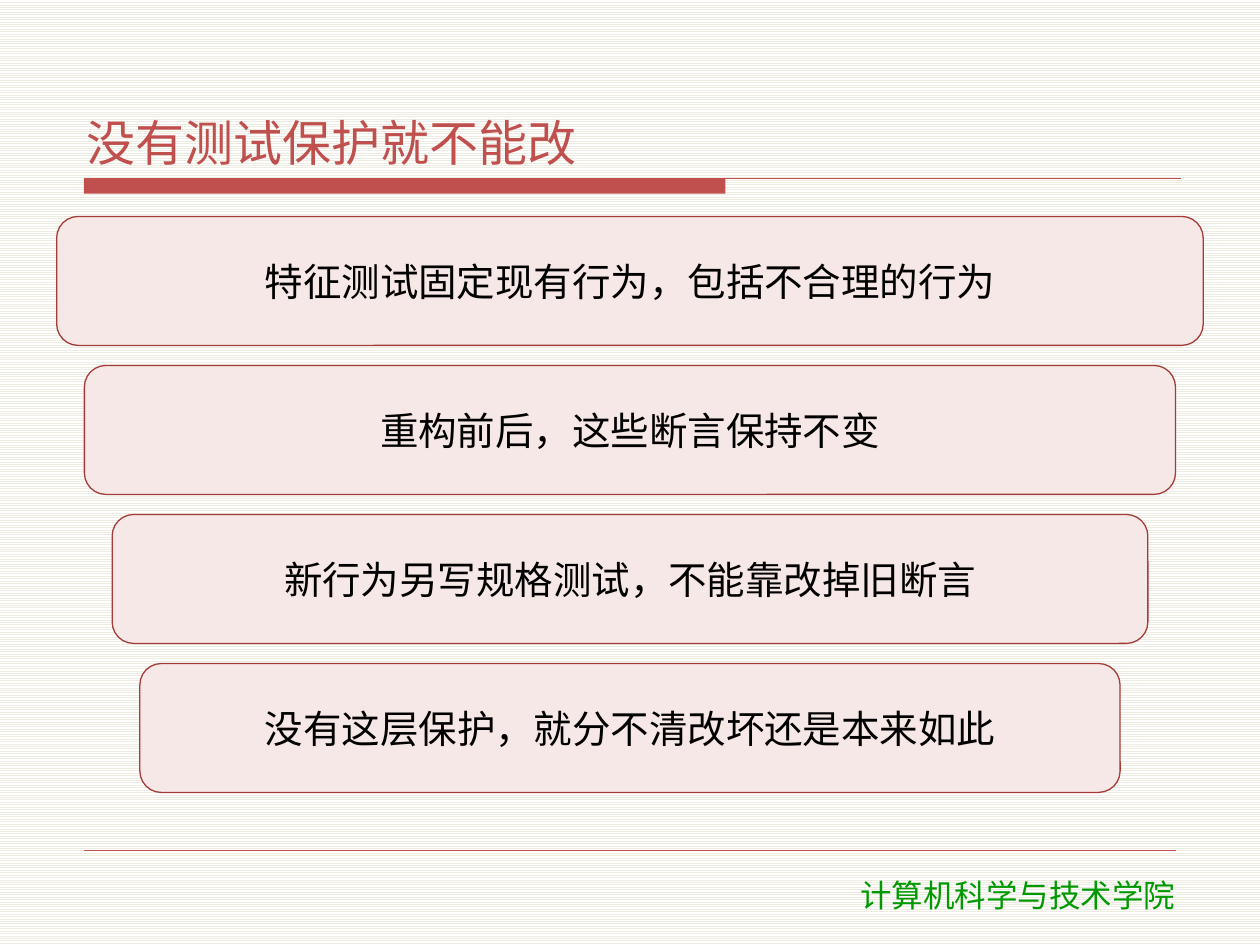
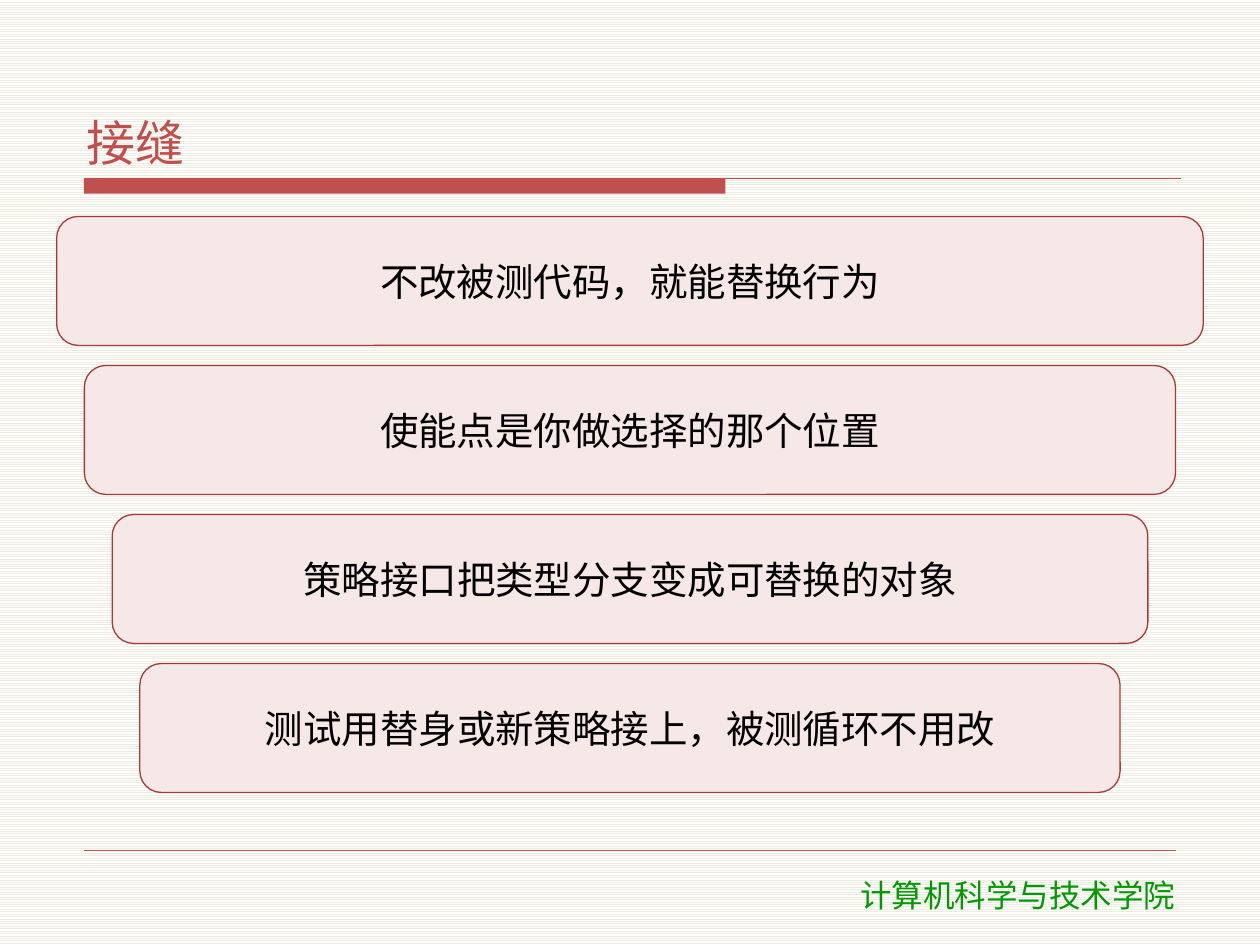
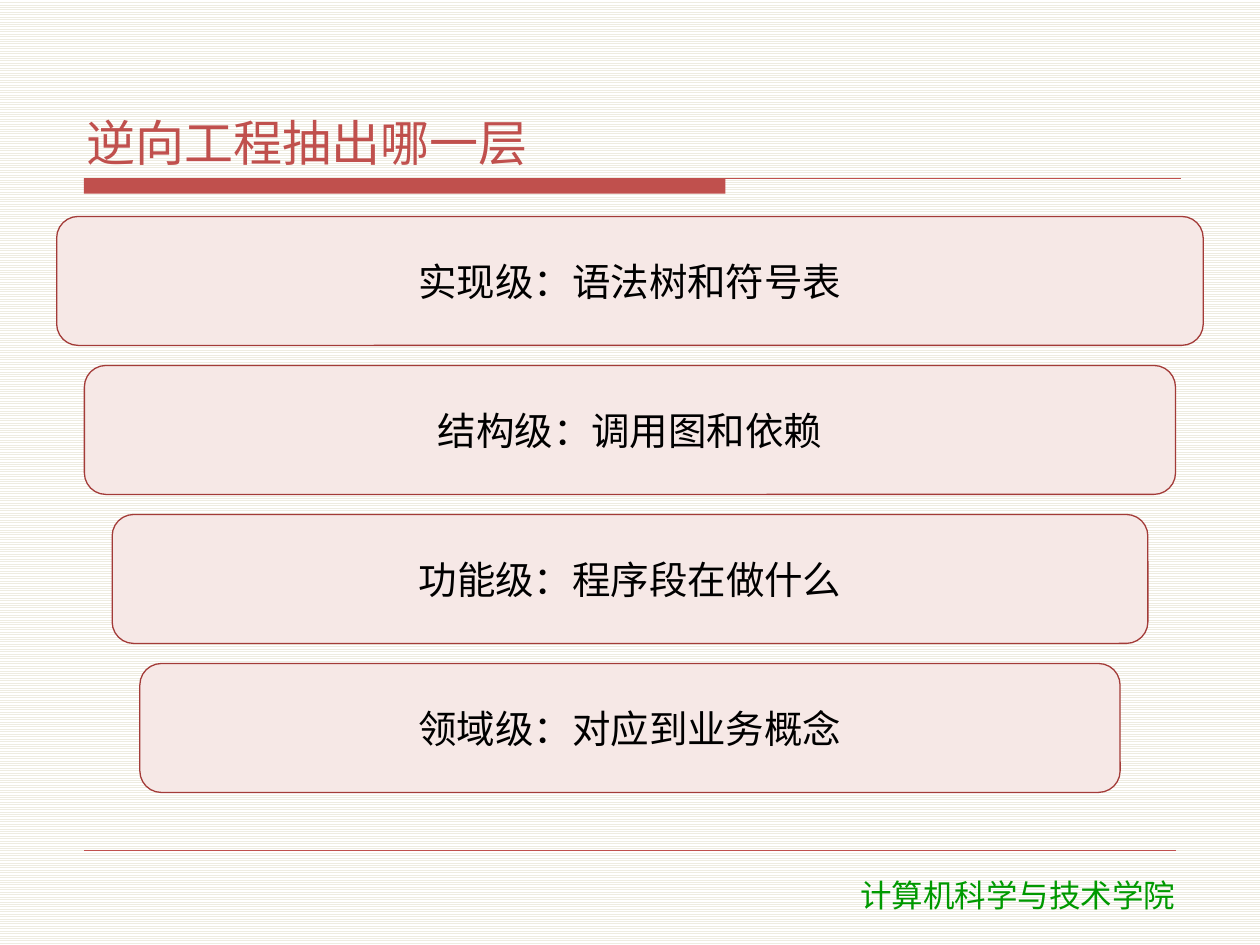
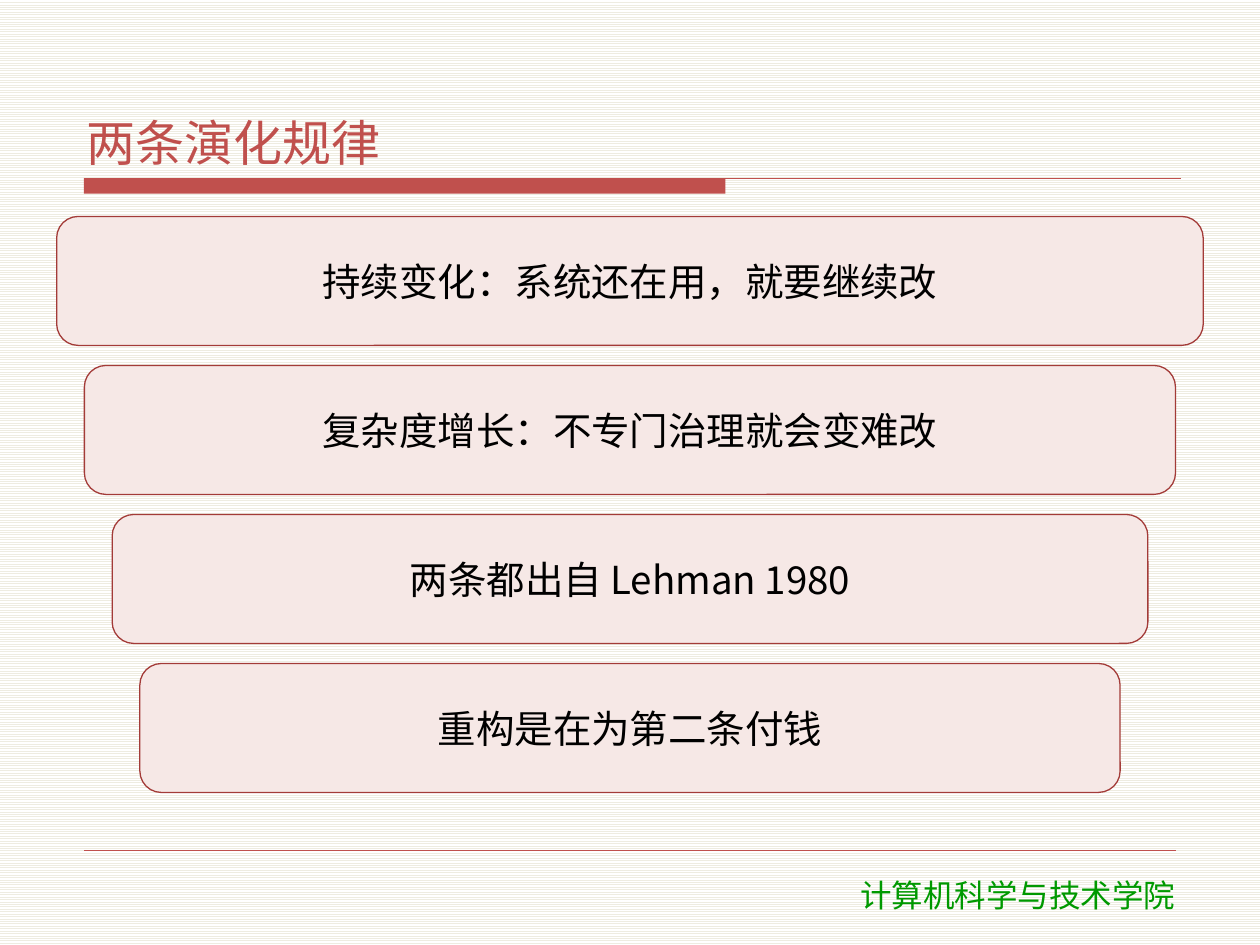
from pptx import Presentation
from pptx.dml.color import RGBColor
from pptx.enum.dml import MSO_PATTERN
from pptx.enum.shapes import MSO_CONNECTOR, MSO_SHAPE
from pptx.enum.text import MSO_ANCHOR, MSO_AUTO_SIZE, PP_ALIGN
from pptx.oxml.ns import qn
from pptx.util import Pt

LEFT, MID = PP_ALIGN.LEFT, PP_ALIGN.CENTER
TOP, CENTER, BOTTOM = MSO_ANCHOR.TOP, MSO_ANCHOR.MIDDLE, MSO_ANCHOR.BOTTOM
RECT, ROUND = MSO_SHAPE.RECTANGLE, MSO_SHAPE.ROUNDED_RECTANGLE
STRAIGHT, STRIPES = MSO_CONNECTOR.STRAIGHT, MSO_PATTERN.LIGHT_HORIZONTAL
FIXED = MSO_AUTO_SIZE.NONE

HEX = {
    "red": "C0504D", "edge": "A33B38", "pink": "F6E8E6", "green": "009900",
    "black": "000000", "cream": "EEECE1", "white": "FFFFFF",
}
COLOR = {name: RGBColor.from_string(code) for name, code in HEX.items()}
SANS, LATIN = "Noto Sans CJK SC", "DejaVu Sans"
TIGHT = {"margin_left": Pt(4.32), "margin_right": Pt(4.32),
         "margin_top": Pt(1.44), "margin_bottom": Pt(1.44)}

# Text styles: frame, paragraph and font values
STYLE = {
    "title": {
        "frame": {**TIGHT, "vertical_anchor": BOTTOM},
        "para": {"alignment": LEFT, "space_after": Pt(2)},
        "font": {"size": Pt(28), "name": SANS}, "color": "red"},
    "card": {
        "frame": {**TIGHT, "vertical_anchor": CENTER},
        "para": {"alignment": MID, "space_after": Pt(2)},
        "font": {"size": Pt(22), "name": SANS}, "color": "black"},
    "foot": {
        "frame": {"vertical_anchor": TOP},
        "para": {"alignment": MID},
        "font": {"size": Pt(18), "name": LATIN}, "color": "green"},
}

# Cards: each one is inset further than the one above
CARD = {"left": 32.4, "top": 123.7, "width": 655.2, "height": 73.7}
INSET, PITCH = 15.84, 85.15

SLIDES = [
    ("没有测试保护就不能改", [
        "特征测试固定现有行为，包括不合理的行为",
        "重构前后，这些断言保持不变",
        "新行为另写规格测试，不能靠改掉旧断言",
        "没有这层保护，就分不清改坏还是本来如此"]),
    ("接缝", [
        "不改被测代码，就能替换行为",
        "使能点是你做选择的那个位置",
        "策略接口把类型分支变成可替换的对象",
        "测试用替身或新策略接上，被测循环不用改"]),
    ("逆向工程抽出哪一层", [
        "实现级：语法树和符号表",
        "结构级：调用图和依赖",
        "功能级：程序段在做什么",
        "领域级：对应到业务概念"]),
    ("两条演化规律", [
        "持续变化：系统还在用，就要继续改",
        "复杂度增长：不专门治理就会变难改",
        "两条都出自 Lehman 1980",
        "重构是在为第二条付钱"]),
]


def assign(target, values):
    for name, value in values.items():
        setattr(target, name, value)


class Deck:
    def __init__(self):
        self.prs = Presentation()
        assign(self.prs, {"slide_width": Pt(720), "slide_height": Pt(540)})
        self.layout = self.prs.slide_layouts[5]
        self.slide = None

    def start(self):
        self.slide = self.prs.slides.add_slide(self.layout)

    def fill_text(self, shape, text, kind):
        style, frame = STYLE[kind], shape.text_frame
        frame.text = text
        assign(frame, {"word_wrap": True, "auto_size": FIXED})
        assign(frame, style["frame"])
        para = frame.paragraphs[0]
        assign(para, {"space_before": Pt(0), **style["para"]})
        font = para.runs[0].font
        assign(font, style["font"])
        font.color.rgb = COLOR[style["color"]]
        # East Asian glyphs take the same typeface
        east = font._element.makeelement(qn("a:ea"), {"typeface": font.name})
        font._element.find(qn("a:latin")).addnext(east)

    def title(self, text):
        shape = self.slide.shapes.title
        assign(shape, {"left": Pt(45.36), "top": Pt(23.76),
                       "width": Pt(630), "height": Pt(75.6)})
        self.fill_text(shape, text, "title")

    def box(self, kind, left, top, width, height, fill, edge=None):
        shape = self.slide.shapes.add_shape(
            kind, Pt(left), Pt(top), Pt(width), Pt(height))
        shape.shadow.inherit = False
        shape.fill.solid()
        shape.fill.fore_color.rgb = COLOR[fill]
        if edge:
            shape.line.color.rgb = COLOR[edge]
            shape.line.width = Pt(0.75)
        else:
            shape.line.fill.background()
        return shape

    def rule(self, left, right, top, weight):
        line = self.slide.shapes.add_connector(
            STRAIGHT, Pt(left), Pt(top), Pt(right), Pt(top))
        line.line.color.rgb = COLOR["red"]
        line.line.width = Pt(weight)
        props = line._element.spPr
        props.append(props.makeelement(qn("a:effectLst"), {}))

    def label(self, text, left, top, width, height):
        shape = self.slide.shapes.add_textbox(
            Pt(left), Pt(top), Pt(width), Pt(height))
        self.fill_text(shape, text, "foot")

    def cards(self, lines):
        for row, text in enumerate(lines):
            shape = self.box(
                ROUND, CARD["left"] + row * INSET, CARD["top"] + row * PITCH,
                CARD["width"] - 2 * row * INSET, CARD["height"],
                "pink", "edge")
            self.fill_text(shape, text, "card")

    def share(self):
        """Draw the common parts and move them to the layout."""
        fill = self.layout.background.fill
        fill.patterned()
        fill.pattern = STRIPES
        fill.fore_color.rgb = COLOR["cream"]
        fill.back_color.rgb = COLOR["white"]
        self.box(RECT, 48, 102, 366.5, 8.64, "red")
        self.rule(48, 674.6, 102, 0.75)
        self.rule(48, 672, 486, 0.25)
        self.label("计算机科学与技术学院", 437, 496.8, 289.4, 28.8)
        parts = [s for s in self.slide.shapes if not s.is_placeholder]
        for number, part in enumerate(parts, 20):
            part._element.xpath(".//p:cNvPr")[0].set("id", str(number))
            self.layout.shapes._spTree.append(part._element)


def main():
    deck = Deck()
    for index, (title, lines) in enumerate(SLIDES):
        deck.start()
        if index == 0:
            deck.share()
        deck.title(title)
        deck.cards(lines)
    deck.prs.save("out.pptx")


if __name__ == "__main__":
    main()
